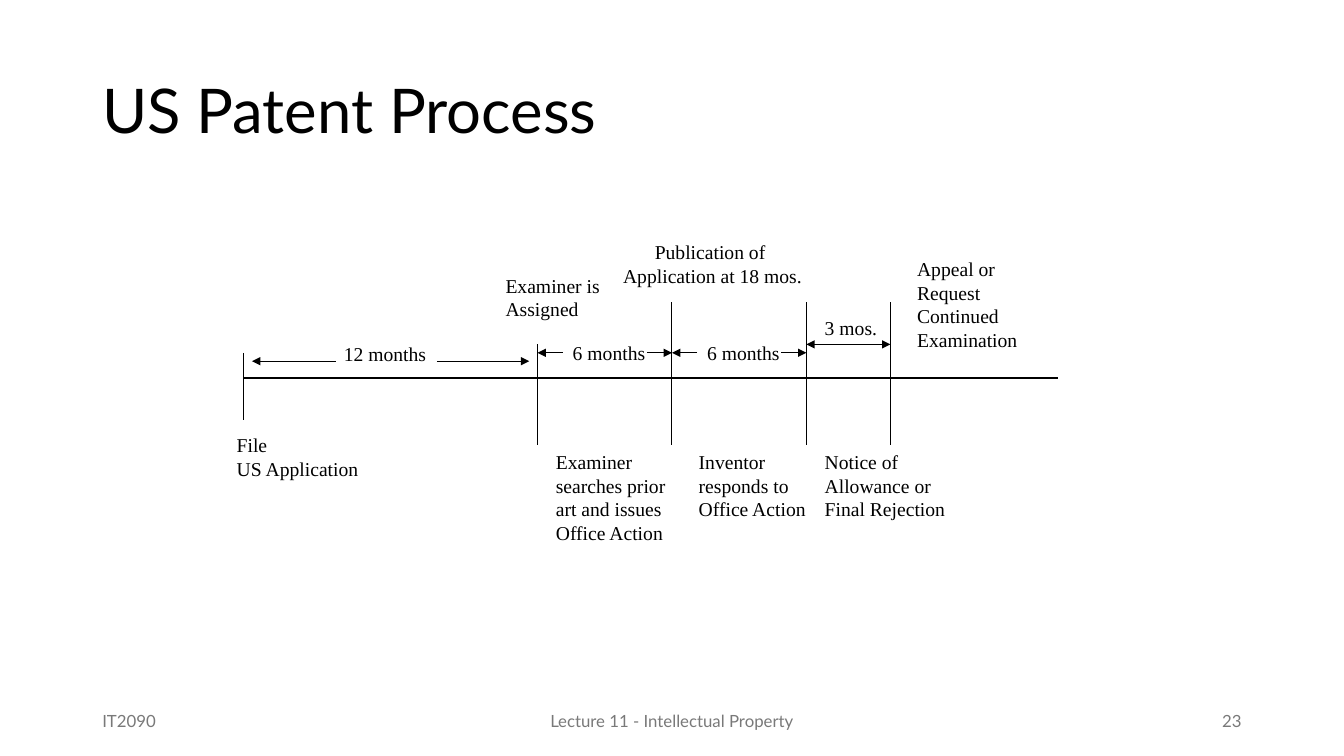
"""Build the US Patent Process timeline slide."""
from lxml import etree
from pptx import Presentation
from pptx.dml.color import RGBColor
from pptx.enum.shapes import MSO_CONNECTOR
from pptx.enum.text import MSO_ANCHOR, MSO_AUTO_SIZE, PP_ALIGN
from pptx.oxml.ns import qn
from pptx.util import Pt

LEFT, CENTER, RIGHT = PP_ALIGN.LEFT, PP_ALIGN.CENTER, PP_ALIGN.RIGHT
TOP, MIDDLE = MSO_ANCHOR.TOP, MSO_ANCHOR.MIDDLE
FIT, FIXED = MSO_AUTO_SIZE.SHAPE_TO_FIT_TEXT, MSO_AUTO_SIZE.NONE
STRAIGHT = MSO_CONNECTOR.STRAIGHT

COLORS = {"ink": "000000", "footer": "797979"}
HEADING_FONT, LABEL_FONT = "Lato", "Times New Roman"

TITLE = "US Patent Process"
FOOTERS = [
    ("IT2090", 66, 216, LEFT),
    ("Lecture 11 - Intellectual Property", 318, 324, CENTER),
    ("23", 678, 216, RIGHT),
]

AXIS_Y, AXIS_END = 270, 756
FILED, ASSIGNED, PUBLISHED, RESPONDED, NOTICED = 174, 384, 480, 576, 636
MILESTONES = [
    (FILED, 252, 300),
    (ASSIGNED, 246, 318),
    (PUBLISHED, 216, 318),
    (RESPONDED, 216, 318),
    (NOTICED, 216, 318),
]
SPLIT_PERIODS = [
    ("12 months", FILED + 6, ASSIGNED - 6, 258, (60, 66), (238.5, 240.5, 75)),
    ("6 months", ASSIGNED, PUBLISHED, 252, (18, 18), (402, 240, 70)),
    ("6 months", PUBLISHED, RESPONDED, 252, (18, 18), (498, 240, 70)),
]
SHORT_PERIOD = ("3 mos.", RESPONDED, NOTICED, 246, (582, 222, 54))

UNWRAPPED_LABELS = [
    (["File", "US Application"], (162, 306, 104, 41), LEFT),
    (["Publication of ", "Application at 18 mos."], (436.5, 168, 145, 41), CENTER),
    (["Examiner is", "Assigned"], (354, 192, 87, 41), LEFT),
]
WRAPPED_LABELS = [
    ("Examiner searches prior art and issues Office Action", (390, 318, 102, 75)),
    ("Inventor responds to Office Action", (492, 318, 102, 58)),
    ("Notice of Allowance or Final Rejection", (582, 318, 102, 58)),
    ("Appeal or Request Continued Examination", (648, 180, 102, 75)),
]


def add_text(slide, lines, box, font=LABEL_FONT, size=14, color="ink", align=LEFT,
             anchor=TOP, wrap=False, fit=FIT, spacing=None):
    frame = slide.shapes.add_textbox(*map(Pt, box)).text_frame
    frame.word_wrap = wrap
    frame.auto_size = fit
    frame.vertical_anchor = anchor
    for index, line in enumerate(lines):
        paragraph = frame.add_paragraph() if index else frame.paragraphs[0]
        paragraph.alignment = align
        paragraph.line_spacing = spacing
        run = paragraph.add_run()
        run.text = line
        run.font.name = font
        run.font.size = Pt(size)
        run.font.color.rgb = RGBColor.from_string(COLORS[color])


def add_line(slide, start, end, arrows=()):
    connector = slide.shapes.add_connector(STRAIGHT, *map(Pt, start + end))
    connector.line.color.rgb = RGBColor.from_string(COLORS["ink"])
    connector.line.width = Pt(0.75)
    outline = connector.line._get_or_add_ln()
    for arrow in arrows:
        etree.SubElement(outline, qn(f"a:{arrow}"), type="triangle")
    etree.SubElement(connector._element.spPr, qn("a:effectLst"))


def draw_timeline(slide):
    add_line(slide, (FILED, AXIS_Y), (AXIS_END, AXIS_Y))
    for x, top, bottom in MILESTONES:
        add_line(slide, (x, top), (x, bottom))
    for label, start, end, y, (before, after), (left, top, width) in SPLIT_PERIODS:
        add_text(slide, [label], (left, top, width, 24))
        add_line(slide, (start + before, y), (start, y), ["tailEnd"])
        add_line(slide, (end - after, y), (end, y), ["tailEnd"])
    label, start, end, y, (left, top, width) = SHORT_PERIOD
    add_text(slide, [label], (left, top, width, 24))
    add_line(slide, (start, y), (end, y), ["headEnd", "tailEnd"])


def main():
    deck = Presentation()
    deck.slide_width, deck.slide_height = Pt(960), Pt(540)
    slide = deck.slides.add_slide(deck.slide_layouts[6])
    add_text(slide, [TITLE], (66, 28.8, 828, 104.4), font=HEADING_FONT, size=44,
             anchor=MIDDLE, wrap=True, fit=FIXED, spacing=0.9)
    draw_timeline(slide)
    for lines, box, align in UNWRAPPED_LABELS:
        add_text(slide, lines, box, align=align)
    for label, box in WRAPPED_LABELS:
        add_text(slide, [label], box, wrap=True)
    for label, left, width, align in FOOTERS:
        add_text(slide, [label], (left, 500.5, width, 28.75), font=HEADING_FONT, size=12,
                 color="footer", align=align, anchor=MIDDLE, wrap=True, fit=FIXED)
    deck.save("out.pptx")


if __name__ == "__main__":
    main()
